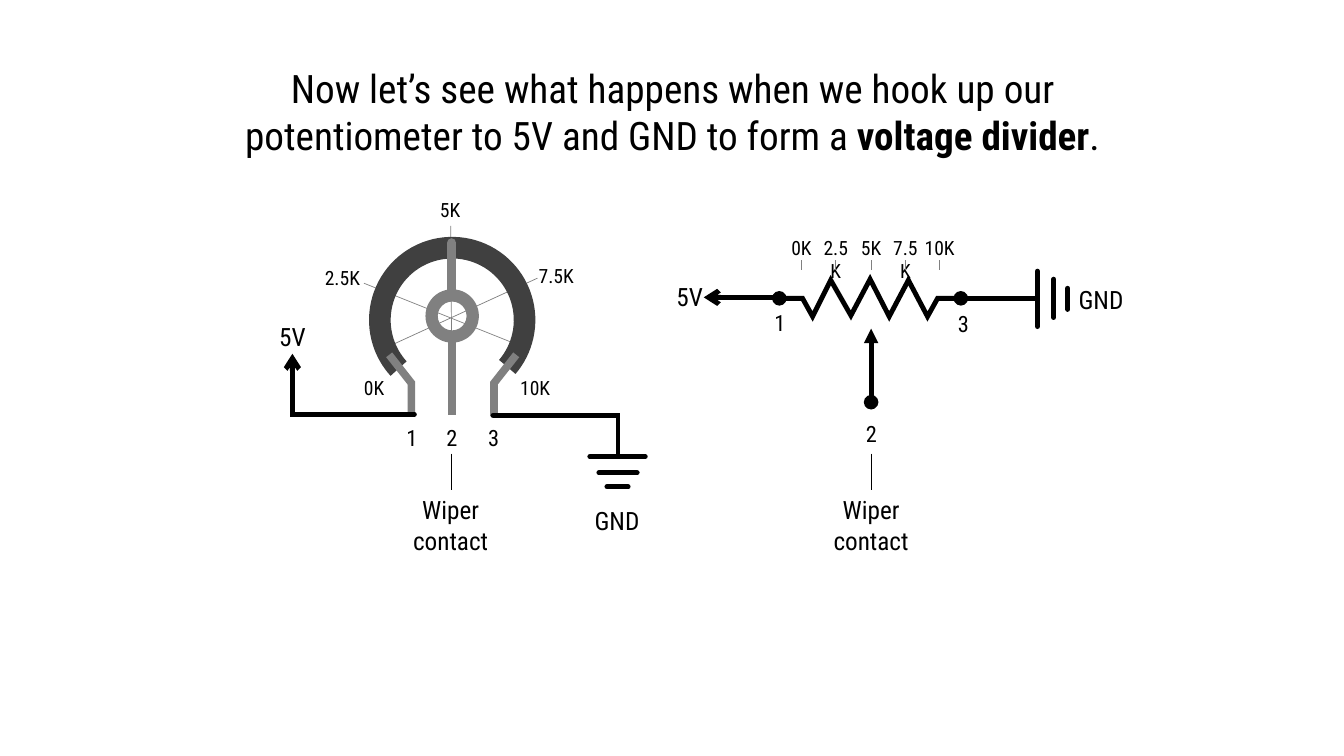
from lxml.etree import SubElement
from pptx import Presentation
from pptx.dml.color import RGBColor
from pptx.enum.shapes import MSO_CONNECTOR, MSO_SHAPE
from pptx.enum.text import PP_ALIGN as ALIGN
from pptx.oxml.ns import qn
from pptx.util import Pt

PX = 9144  # 100 px to the inch
BLACK = RGBColor(0x00, 0x00, 0x00)
TRACK = RGBColor(0x40, 0x40, 0x40)
GREY = RGBColor(0x80, 0x80, 0x80)
HAIR, WIRE, PIN, HAND = 0.5, 3.5, 5.5, 6.75

deck = Presentation()
deck.slide_width, deck.slide_height = 1333 * PX, 750 * PX
page = deck.slides.add_slide(deck.slide_layouts[6])


def write(x, y, width, height, size, *spans, align=ALIGN.CENTER):
    """Add a text box of one paragraph; every second span is bold."""
    box = page.shapes.add_textbox(x * PX, y * PX, width * PX, height * PX)
    box.text_frame.word_wrap = True
    para = box.text_frame.paragraphs[0]
    para.alignment = align
    para.font.size = Pt(size)
    para.font.name = "Roboto Condensed"
    para.font.color.rgb = BLACK
    for index, words in enumerate(spans):
        span = para.add_run()
        span.text = words
        if index % 2:
            span.font.bold = True


def draw(points, color=BLACK, width=WIRE, cap="rnd", head=None, tail=None):
    """Draw a straight connector, or an open outline through more points."""
    if len(points) == 2:
        ends = [value * PX for point in points for value in point]
        stroke = page.shapes.add_connector(MSO_CONNECTOR.STRAIGHT, *ends)
    else:
        builder = page.shapes.build_freeform(*points[0], scale=PX)
        builder.add_line_segments(points[1:], close=False)
        stroke = builder.convert_to_shape()
        stroke.fill.background()
    stroke.line.color.rgb = color
    stroke.line.width = Pt(width)
    properties = stroke._element.spPr
    line = properties.find(qn("a:ln"))
    line.set("cap", cap)
    SubElement(line, qn("a:miter"), lim="800000")
    for tag, kind in (("a:headEnd", head), ("a:tailEnd", tail)):
        if kind:
            SubElement(line, qn(tag), type=kind)
    SubElement(properties, qn("a:effectLst"))


write(209, 59, 916, 104, 28,
      "Now let’s see what happens when we hook up our potentiometer "
      "to 5V and GND to form a ", "voltage divider", ".")

# Potentiometer dial: scale marks, track, pins and wiper
for start, end in (((448, 351), (447, 224)),
                   ((521, 345), (361, 281)),
                   ((533, 276), (376, 348))):
    draw([start, end], GREY, HAIR, "flat")
for x, y, width, label, align in ((425, 191, 43, "5K", ALIGN.CENTER),
                                  (312, 259, 55, "2.5K", ALIGN.RIGHT),
                                  (524, 257, 55, "7.5K", ALIGN.RIGHT),
                                  (506, 368, 55, "10K", ALIGN.LEFT),
                                  (336, 368, 55, "0K", ALIGN.RIGHT)):
    write(x, y, width, 34, 14, label, align=align)

track = page.shapes.add_shape(MSO_SHAPE.BLOCK_ARC, 366 * PX, 235 * PX, 165 * PX, 165 * PX)
track.adjustments[0] = 57.13
track.adjustments[1] = 214.69
track.adjustments[2] = 0.13
track.rotation = 42.6

for pin in ([(386, 352), (408, 380), (408, 413)],
            [(448, 338), (448, 412)],
            [(512, 352), (490, 380), (490, 413)]):
    draw(pin, GREY, PIN, "flat")

hub = page.shapes.add_shape(MSO_SHAPE.DONUT, 422 * PX, 287 * PX, 53 * PX, 53 * PX)
hub.adjustments[0] = 0.23
for ring, color in ((track, TRACK), (hub, GREY)):
    ring.fill.solid()
    ring.fill.fore_color.rgb = color
    ring.line.fill.background()
    ring.shadow.inherit = False
draw([(448, 287), (448, 241)], GREY, HAND)

# Pin numbers of both drawings
for x, y, width, number in ((376, 416, 65, "1"), (433, 416, 29, "2"), (457, 416, 65, "3"),
                            (741, 302, 65, "1"), (849, 412, 29, "2"), (923, 303, 65, "3")):
    write(x, y, width, 37, 16, number)

# Wiper captions
for x, left in ((448, 373), (864, 790)):
    draw([(x, 450), (x, 486)], BLACK, HAIR, "flat")
    write(left, 486, 148, 40, 18, "Wiper contact")

# Supply and ground of the dial
draw([(411, 411), (290, 411), (290, 351)], tail="arrow")
draw([(489, 412), (613, 412), (613, 451)])
for left, right, y in ((585, 640, 453), (594, 632, 469), (602, 623, 483)):
    draw([(left, y), (right, y)])

# Resistor symbol with its scale, supply, ground and wiper
for x, label in ((795, "0K"), (829, "2.5K"), (864, "5K"), (898, "7.5K"), (932, "10K")):
    write(x - 25, 229, 50, 34, 14, label)
    draw([(x, 258), (x, 268)], GREY, HAIR, "flat")
draw([(953, 296), (930, 296), (920, 314), (901, 278), (882, 314), (863, 277),
      (844, 313), (824, 278), (806, 314), (796, 296), (773, 296)],
     head="oval", tail="oval")
draw([(773, 295), (698, 295)], tail="arrow")
draw([(954, 296), (1029, 296)])
for x, bottom, top in ((1029, 324, 269), (1045, 315, 277), (1059, 307, 286)):
    draw([(x, bottom), (x, top)])
draw([(864, 399), (864, 326)], cap="flat", head="oval", tail="triangle")

# Voltage labels of both drawings
for x, y, label in ((257, 314, "5V"), (579, 496, "GND"), (651, 274, "5V"), (1059, 277, "GND")):
    write(x, y, 66, 40, 18, label)

deck.save("out.pptx")
